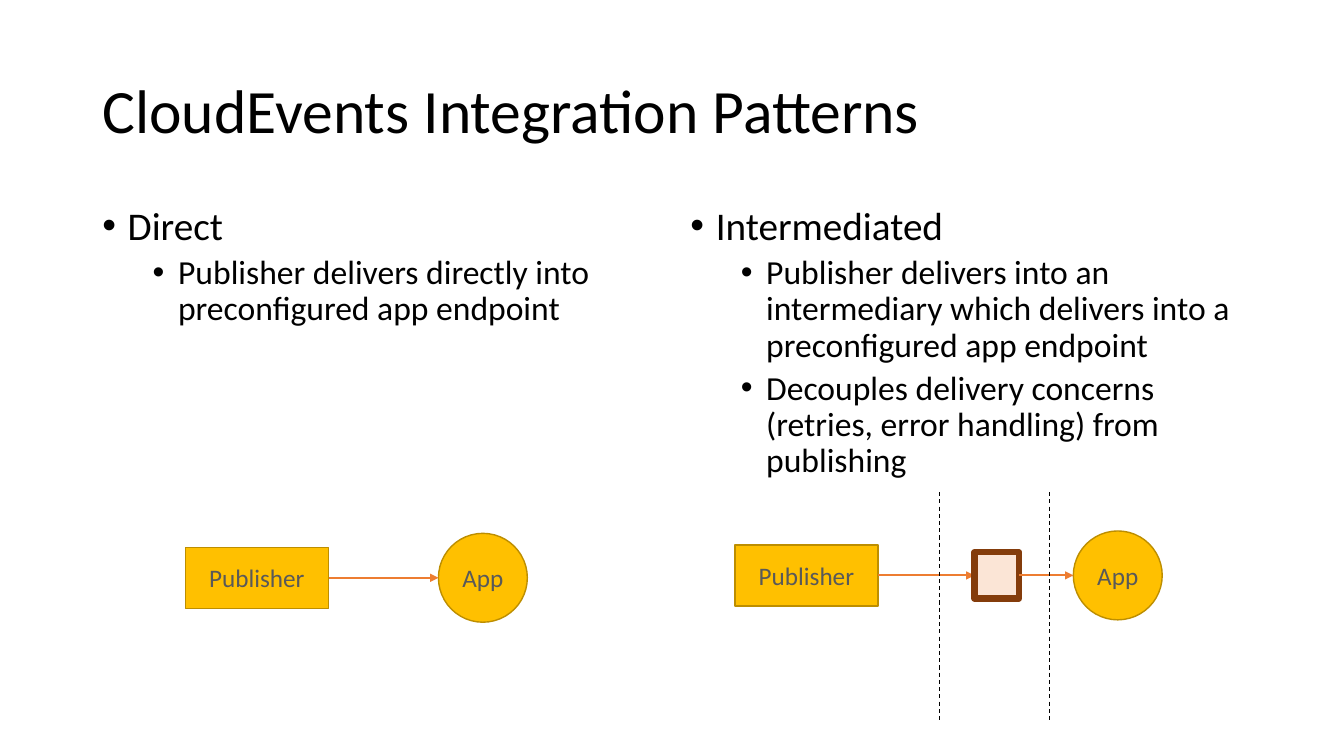
import pptx
import pptx.util
import pptx.dml.color
import pptx.enum.dml
import pptx.enum.shapes
import pptx.enum.text
import pptx.oxml
import pptx.oxml.ns

Cm = pptx.util.Cm
Pt = pptx.util.Pt
Kind = pptx.enum.shapes.MSO_SHAPE
Align = pptx.enum.text.PP_ALIGN
Anchor = pptx.enum.text.MSO_ANCHOR
Dash = pptx.enum.dml.MSO_LINE

COLORS = {
    "ink": "000000",
    "label": "595959",
    "gold": "FFC000",
    "edge": "BD8E00",
    "arrow": "ED7D31",
    "peach": "FBE5D6",
    "brown": "843C0B",
}


def color(name):
    return pptx.dml.color.RGBColor.from_string(COLORS[name])


def node(tag, **attrs):
    item = pptx.oxml.parse_xml(f"<{tag} {pptx.oxml.ns.nsdecls('a')}/>")
    for key, value in attrs.items():
        item.set(key, value)
    return item


class Deck:
    font = "Calibri"

    def __init__(self, show):
        self.slide = show.slides.add_slide(show.slide_layouts[5])
        self.shapes = self.slide.shapes

    def put(self, para, text, size, tint="ink"):
        run = para.add_run()
        run.text = text
        run.font.name = self.font
        run.font.size = Pt(size)
        run.font.color.rgb = color(tint)

    def title(self, text, left, top, width, height):
        shape = self.shapes.title
        shape.left, shape.top = Cm(left), Cm(top)
        shape.width, shape.height = Cm(width), Cm(height)
        frame = shape.text_frame
        frame.auto_size = pptx.enum.text.MSO_AUTO_SIZE.NONE
        frame.vertical_anchor = Anchor.MIDDLE
        para = frame.paragraphs[0]
        para.alignment = Align.LEFT
        para.line_spacing = 0.9
        self.put(para, text, 44)

    def bullets(self, head, points, left, top, width, height):
        box = self.shapes.add_textbox(Cm(left), Cm(top), Cm(width), Cm(height))
        frame = box.text_frame
        frame.word_wrap = True
        for index, text in enumerate([head, *points]):
            para = frame.add_paragraph() if index else frame.paragraphs[0]
            level = 1 if index else 0
            para.level = level
            para.line_spacing = 0.9
            para.space_before = Pt(5 * level)
            props = para._p.get_or_add_pPr()
            props.set("marL", str(Cm(0.64 + 1.27 * level)))
            props.set("indent", str(-Cm(0.64)))
            props.append(node("a:buFont", typeface="Arial"))
            props.append(node("a:buChar", char="•"))
            self.put(para, text, 24 if level else 28)

    def block(self, kind, left, mid, width, height,
              text="", fill="gold", edge="edge", weight=1):
        shape = self.shapes.add_shape(
            kind, Cm(left), Cm(mid - height / 2), Cm(width), Cm(height))
        shape.shadow.inherit = False
        shape.fill.solid()
        shape.fill.fore_color.rgb = color(fill)
        shape.line.color.rgb = color(edge)
        shape.line.width = Pt(weight)
        if text:
            frame = shape.text_frame
            frame.word_wrap = True
            frame.vertical_anchor = Anchor.MIDDLE
            para = frame.paragraphs[0]
            para.alignment = Align.CENTER
            self.put(para, text, 18, "label")

    def line(self, start, end, tint, weight):
        link = self.shapes.add_connector(
            pptx.enum.shapes.MSO_CONNECTOR.STRAIGHT,
            *(Cm(value) for value in (*start, *end)))
        link.line.color.rgb = color(tint)
        link.line.width = Pt(weight)
        link._element.spPr.append(node("a:effectLst"))
        return link

    def arrow(self, start, end, mid):
        link = self.line((start, mid), (end, mid), "arrow", 1.5)
        link._element.spPr.get_or_add_ln().append(
            node("a:tailEnd", type="triangle"))

    def divide(self, left, top, foot):
        link = self.line((left, top), (left, foot), "ink", 0.75)
        link.line.dash_style = Dash.DASH

    def ends(self, sender, app, mid):
        self.block(Kind.RECTANGLE, sender, mid, 3.61, 1.54, "Publisher")
        self.block(Kind.OVAL, app, mid, 2.24, 2.24, "App")
        return sender + 3.61


def main():
    show = pptx.Presentation()
    show.slide_width, show.slide_height = Cm(33.87), Cm(19.05)
    deck = Deck(show)
    deck.title("CloudEvents Integration Patterns", 2.33, 1.01, 29.21, 3.68)

    columns = [
        (2.33, "Direct",
         ["Publisher delivers directly into preconfigured app endpoint"]),
        (17.15, "Intermediated",
         ["Publisher delivers into an intermediary which delivers into a "
          "preconfigured app endpoint",
          "Decouples delivery concerns (retries, error handling) from "
          "publishing"]),
    ]
    for left, head, points in columns:
        deck.bullets(head, points, left, 5.07, 14.4, 12.09)

    app, mid = 11.05, 14.56
    deck.arrow(deck.ends(4.67, app, mid), app, mid)

    app, mid = 27.05, 14.5
    broker, side = 24.56, 1.12
    deck.arrow(deck.ends(18.52, app, mid), broker, mid)
    deck.block(Kind.RECTANGLE, broker, mid, side, 1.17,
               fill="peach", edge="brown", weight=4.5)
    deck.arrow(broker + side, app, mid)
    for left in (23.67, 26.44):
        deck.divide(left, 12.4, 18.14)

    show.save("out.pptx")


if __name__ == "__main__":
    main()
